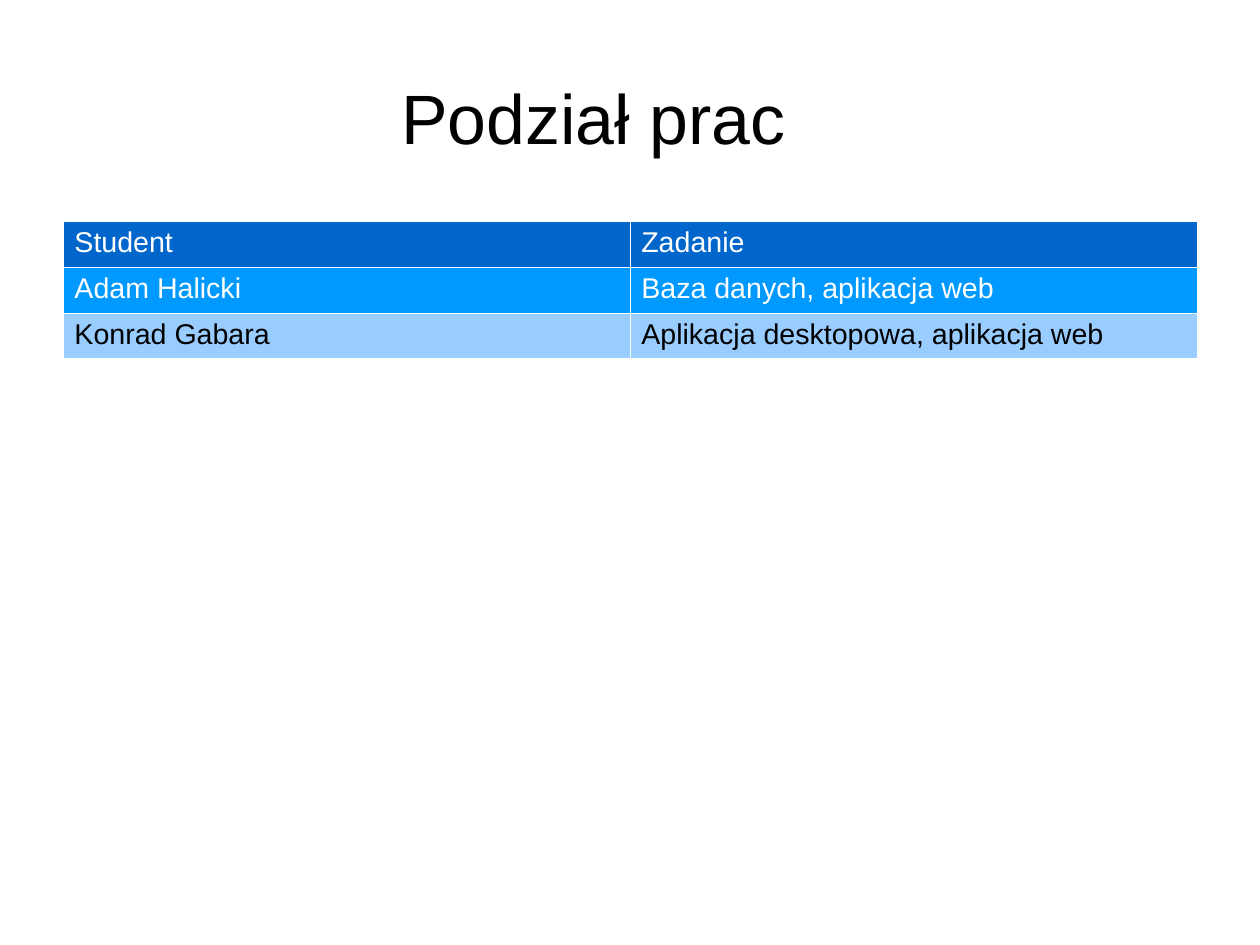
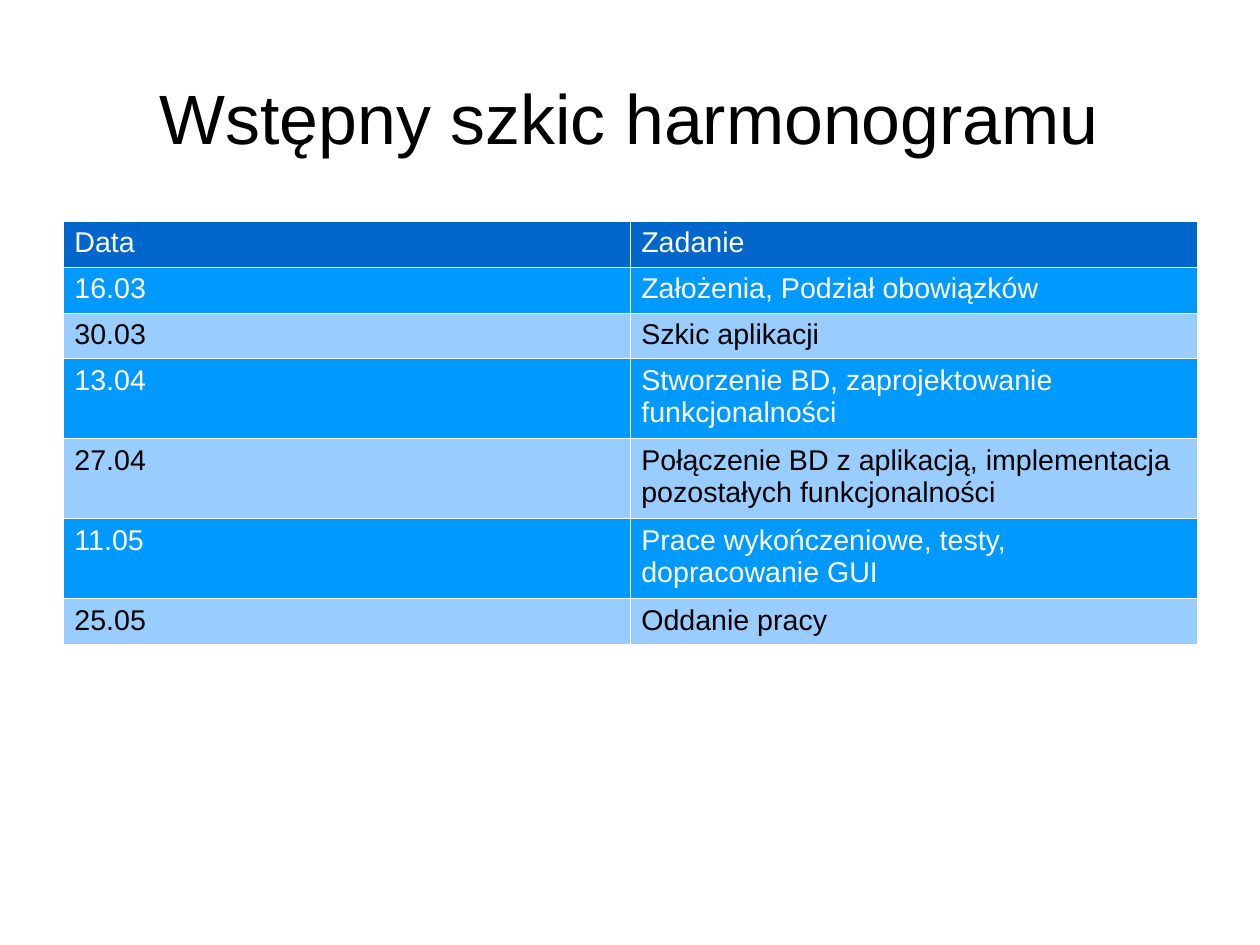
import pptx
import pptx.util
import pptx.dml.color
import pptx.enum.text
import pptx.oxml
import pptx.oxml.ns

Pt = pptx.util.Pt
RGB = pptx.dml.color.RGBColor

BLACK = RGB(0x00, 0x00, 0x00)
WHITE = RGB(0xFF, 0xFF, 0xFF)
NAVY = RGB(0x00, 0x66, 0xCC)
BLUE = RGB(0x00, 0x99, 0xFF)
PALE = RGB(0x99, 0xCC, 0xFF)

LEFT, WIDTH = 39.7, 714.2
ONE, TWO = 28.8, 50.4  # heights of rows with one and two lines
TITLE = {"name": "Arial", "size": Pt(44)}
BODY = {"name": "Arial", "size": Pt(18)}
FRAME = {"margin_left": 0, "margin_right": 0, "margin_top": 0,
         "margin_bottom": 0, "word_wrap": True,
         "vertical_anchor": pptx.enum.text.MSO_ANCHOR.MIDDLE}
CELL = {"margin_left": Pt(7.2), "margin_right": Pt(7.2),
        "margin_top": Pt(3.6), "margin_bottom": Pt(3.6)}

# Title, right inset of the title, rows as (height, first cell, second cell)
SLIDES = [
    ("Podział prac", 46, [
        (ONE, "Student", "Zadanie"),
        (ONE, "Adam Halicki", "Baza danych, aplikacja web"),
        (ONE, "Konrad Gabara", "Aplikacja desktopowa, aplikacja web"),
    ]),
    ("Wstępny szkic harmonogramu", 0, [
        (ONE, "Data", "Zadanie"),
        (ONE, "16.03", "Założenia, Podział obowiązków"),
        (ONE, "30.03", "Szkic aplikacji"),
        (TWO, "13.04", "Stworzenie BD, zaprojektowanie funkcjonalności"),
        (TWO, "27.04", "Połączenie BD z aplikacją, implementacja "
                       "pozostałych funkcjonalności"),
        (TWO, "11.05", "Prace wykończeniowe, testy, dopracowanie GUI"),
        (ONE, "25.05", "Oddanie pracy"),
    ]),
]


def style(item, form, color=None):
    """Set the attributes in form, and the font colour if one is given."""
    for key, value in form.items():
        setattr(item, key, value)
    if color is not None:
        item.color.rgb = color


def border(cell):
    """Draw a white hairline on all four sides; call before the fill is set."""
    props = cell._tc.get_or_add_tcPr()
    for side in "LRTB":
        props.append(pptx.oxml.parse_xml(
            f'<a:ln{side} {pptx.oxml.ns.nsdecls("a")} w="{Pt(0.06)}">'
            f'<a:solidFill><a:srgbClr val="{WHITE}"/></a:solidFill>'
            f'</a:ln{side}>'))


deck = pptx.Presentation()
deck.slide_width, deck.slide_height = Pt(793.7), Pt(595.3)

for title, inset, rows in SLIDES:
    slide = deck.slides.add_slide(deck.slide_layouts[6])

    box = slide.shapes.add_textbox(Pt(LEFT), Pt(23.7), Pt(WIDTH), Pt(99.4))
    style(box.text_frame, FRAME | {"margin_right": Pt(inset)})
    para = box.text_frame.paragraphs[0]
    para.text = title
    para.alignment = pptx.enum.text.PP_ALIGN.CENTER
    style(para.font, TITLE, BLACK)

    total = sum(row[0] for row in rows)
    table = slide.shapes.add_table(
        len(rows), 2, Pt(LEFT), Pt(139.3), Pt(WIDTH), Pt(total)).table
    style(table, {"first_row": False, "horz_banding": False})
    for r, (height, *texts) in enumerate(rows):
        table.rows[r].height = Pt(height)
        fill = NAVY if r == 0 else BLUE if r % 2 else PALE
        ink = BLACK if fill == PALE else WHITE
        for c, text in enumerate(texts):
            cell = table.cell(r, c)
            style(cell, CELL)
            border(cell)
            cell.fill.solid()
            cell.fill.fore_color.rgb = fill
            cell.text = text
            style(cell.text_frame.paragraphs[0].font, BODY, ink)

deck.save("out.pptx")
